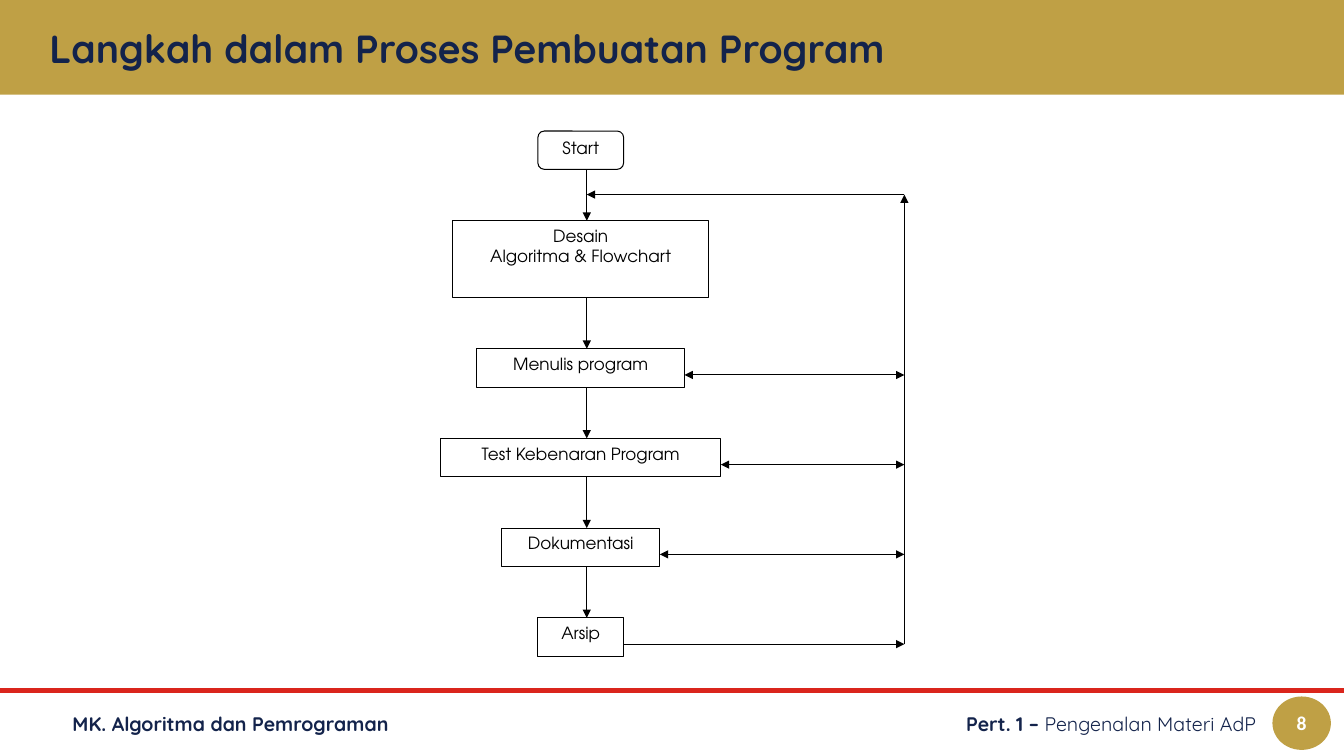
"""Build a slide with a flowchart of the steps in making a program."""
from lxml import etree
from pptx import Presentation
from pptx import util as u
from pptx.dml.color import RGBColor
from pptx.enum import shapes, text
from pptx.oxml.ns import qn

GOLD = RGBColor(0xBF, 0xA0, 0x45)
NAVY = RGBColor(0x13, 0x23, 0x4B)
RED = RGBColor(0xDA, 0x25, 0x1C)
BLACK = RGBColor(0, 0, 0)
WHITE = RGBColor(255, 255, 255)
HEAD, BODY = "Quicksand", "TeX Gyre Adventor"
KIND = shapes.MSO_SHAPE
LEFT, MID, RIGHT = text.PP_ALIGN.LEFT, text.PP_ALIGN.CENTER, text.PP_ALIGN.RIGHT

TITLE = "Langkah dalam Proses Pembuatan Program"
COURSE = [[("MK. Algoritma dan Pemrograman", True)]]
TOPIC = [[("Pert. 1 – ", True), ("Pengenalan Materi AdP", False)]]
PAGE = "8"
STEPS = [
    (["Start"], 0.85),
    (["Desain", "Algoritma & Flowchart"], 2.54),
    (["Menulis program"], 2.06),
    (["Test Kebenaran Program"], 2.78),
    (["Dokumentasi"], 1.57),
    (["Arsip"], 0.85),
]

WIDE, HIGH = 13.33, 7.5
FOOT, FOOT_H = 6.91, 0.53
CENTRE, STEM, LOOP = 5.76, 5.82, 8.97
TOP, ROW, GAP = 1.3, 0.38, 0.51
JOIN = 1.93

deck = Presentation()
deck.slide_width, deck.slide_height = u.Inches(WIDE), u.Inches(HIGH)
slide = deck.slides.add_slide(deck.slide_layouts[5])


def write(shape, paras, size=14, font=HEAD, color=NAVY, bold=False,
          align=LEFT, anchor=text.MSO_ANCHOR.MIDDLE, inset=0.1):
    """Fill a shape with paragraphs, each a string or a list of (words, bold)."""
    frame = shape.text_frame
    frame.word_wrap = True
    frame.auto_size = text.MSO_AUTO_SIZE.NONE
    frame.vertical_anchor = anchor
    frame.margin_left = frame.margin_right = u.Inches(0.1)
    frame.margin_top = frame.margin_bottom = u.Inches(inset)
    for n, para in enumerate(paras):
        line = frame.paragraphs[0] if n == 0 else frame.add_paragraph()
        line.alignment = align
        for words, heavy in [(para, bold)] if isinstance(para, str) else para:
            run = line.add_run()
            run.text = words
            run.font.size, run.font.name = u.Pt(size), font
            run.font.bold, run.font.color.rgb = heavy, color


def place(kind, x, y, w, h, fill, edge=None):
    """Add a flat preset shape."""
    shape = slide.shapes.add_shape(kind, *map(u.Inches, (x, y, w, h)))
    shape.shadow.inherit = False
    shape.fill.solid()
    shape.fill.fore_color.rgb = fill
    if edge is None:
        shape.line.fill.background()
    else:
        shape.line.color.rgb, shape.line.width = edge, u.Pt(0.75)
    return shape


def link(x1, y1, x2, y2, color=BLACK, width=0.75, ends=("tailEnd",)):
    """Add a straight line with the given arrowheads."""
    line = slide.shapes.add_connector(
        shapes.MSO_CONNECTOR.STRAIGHT, *map(u.Inches, (x1, y1, x2, y2)))
    line.line.color.rgb, line.line.width = color, u.Pt(width)
    for end in ends:
        etree.SubElement(line.line._get_or_add_ln(), qn("a:" + end), type="triangle")
    etree.SubElement(line.element.spPr, qn("a:effectLst"))


def frame():
    """Draw the title band and the footer."""
    title = slide.shapes.title
    title.left, title.top = u.Inches(0.39), u.Inches(0.21)
    title.width, title.height = u.Inches(12.55), u.Inches(0.53)
    write(title, [TITLE], size=28, bold=True)
    band = place(KIND.RECTANGLE, 0, 0, WIDE, 0.94, GOLD)
    title.element.addprevious(band.element)
    link(0, 6.85, WIDE, 6.85, color=RED, width=3, ends=())
    for paras, x, w, align in [(COURSE, 0.62, 5.29, LEFT), (TOPIC, 6.51, 6.05, RIGHT)]:
        box = slide.shapes.add_textbox(*map(u.Inches, (x, FOOT, w, FOOT_H)))
        write(box, paras, align=align)
    badge = place(KIND.OVAL, 12.62, FOOT, 0.58, FOOT_H, GOLD)
    write(badge, [PAGE], font="Calibri", color=WHITE, bold=True, align=MID, inset=0.05)


def chart():
    """Draw the steps from top to bottom with their arrows."""
    y, last = TOP, len(STEPS) - 1
    for n, (lines, w) in enumerate(STEPS):
        h = ROW * len(lines)
        kind = KIND.FLOWCHART_PROCESS if n else KIND.FLOWCHART_ALTERNATE_PROCESS
        box = place(kind, CENTRE - w / 2, y, w, h, WHITE, BLACK)
        write(box, lines, size=12, font=BODY, color=BLACK, align=MID,
              anchor=text.MSO_ANCHOR.TOP, inset=0.05)
        if n < last:
            link(STEM, y + h, STEM, y + h + GAP)
        if n > 1:
            ends = ("headEnd", "tailEnd") if n < last else ("tailEnd",)
            link(CENTRE + w / 2, y + 0.26, LOOP, y + 0.26, ends=ends)
        if n == last:
            link(LOOP, y + 0.26, LOOP, JOIN)
        y += h + GAP
    link(LOOP, JOIN, STEM, JOIN)


if __name__ == "__main__":
    frame()
    chart()
    deck.save("out.pptx")
